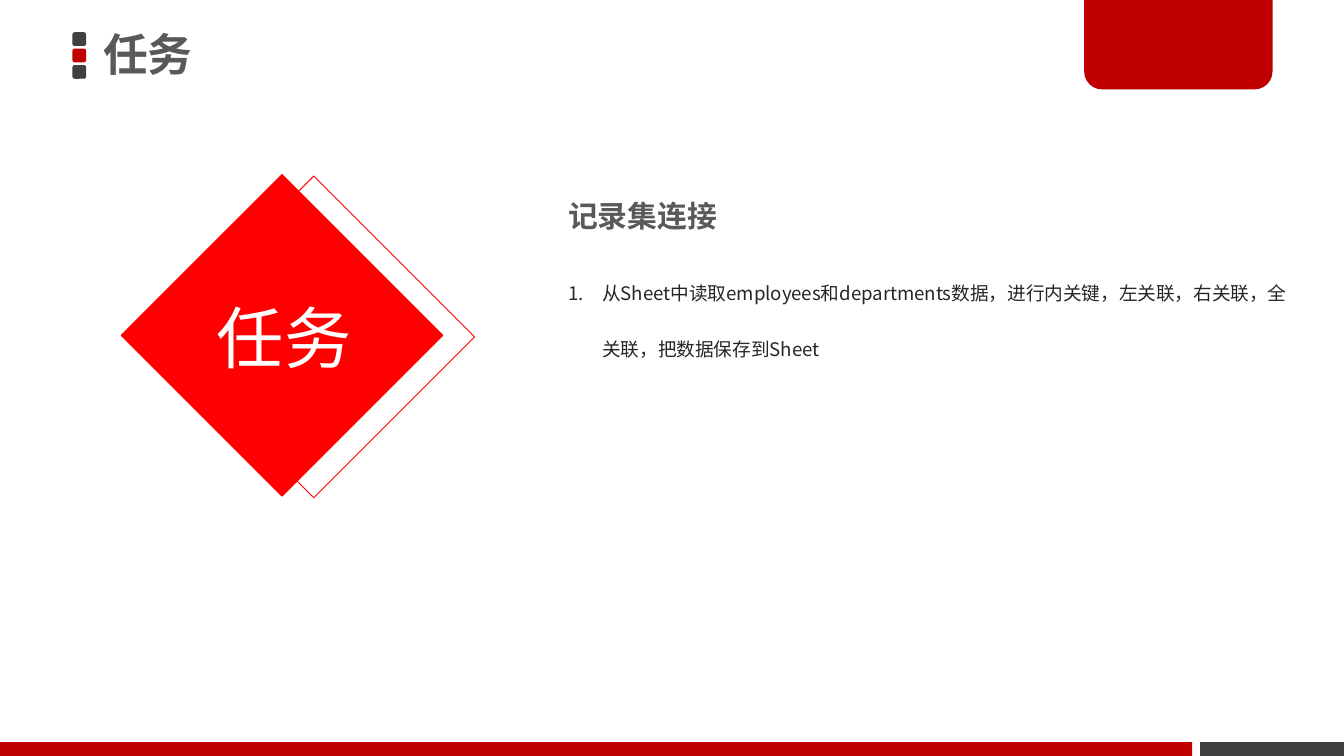
from lxml.etree import SubElement
from pptx import Presentation
from pptx.dml.color import RGBColor
from pptx.enum.shapes import MSO_SHAPE as SHAPE
from pptx.enum.text import MSO_ANCHOR as ANCHOR, MSO_AUTO_SIZE as AUTO, PP_ALIGN as ALIGN
from pptx.oxml.ns import qn
from pptx.util import Cm, Pt

FONT = "Noto Sans CJK SC"
RED, DARK, GREY, INK = "C00000", "404040", "595959", "262626"
BRIGHT, WHITE = "FF0000", "FFFFFF"

TITLE = "任务"
BADGE = "任务"
HEADING = "记录集连接"
TASKS = ["从Sheet中读取employees和departments数据，进行内关键，左关联，右关联，"
         "全关联，把数据保存到Sheet"]

WIDTH, HEIGHT = 25.4, 14.29
BAR_H, BAR_SPLIT, BAR_GAP = 0.26, 22.53, 0.15
MARK_X, MARK_Y, MARK, MARK_STEP = 1.37, 0.61, 0.26, 0.31
SIDE = 4.3
DIAMONDS = [(3.78, 4.22, None), (3.18, 4.19, BRIGHT)]


def rgb(color):
    return RGBColor.from_string(color)


def add_box(s, kind, x, y, w, h, fill=None, line=None):
    sp = s.shapes.add_shape(kind, Cm(x), Cm(y), Cm(w), Cm(h))
    sp.shadow.inherit = False
    if fill:
        sp.fill.solid()
        sp.fill.fore_color.rgb = rgb(fill)
    else:
        sp.fill.background()
    if line:
        sp.line.color.rgb = rgb(line)
        sp.line.width = Pt(0.5)
    else:
        sp.line.fill.background()
    return sp


def place(sp, x, y, w, h):
    sp.left, sp.top, sp.width, sp.height = Cm(x), Cm(y), Cm(w), Cm(h)


def write(sp, lines, size, color, bold=False, align=ALIGN.LEFT, anchor=ANCHOR.TOP, spacing=1.0):
    tf = sp.text_frame
    tf.text = "\n".join(lines)
    tf.word_wrap = True
    tf.auto_size = AUTO.NONE
    tf.vertical_anchor = anchor
    for p in tf.paragraphs:
        p.alignment = align
        p.line_spacing = spacing
        p.space_before = Pt(0)
        for r in p.runs:
            r.font.size, r.font.bold, r.font.name = Pt(size), bold, FONT
            r.font.color.rgb = rgb(color)
            SubElement(r.font._element, qn("a:ea"), typeface=FONT)


def number(p, indent):
    """Give the paragraph an automatic number with a hanging indent."""
    ppr = p._p.get_or_add_pPr()
    ppr.set("marL", str(Cm(indent)))
    ppr.set("indent", str(-Cm(indent)))
    SubElement(ppr, qn("a:buFont"), typeface=FONT)
    SubElement(ppr, qn("a:buAutoNum"), type="arabicPeriod")


prs = Presentation()
prs.slide_width, prs.slide_height = Cm(WIDTH), Cm(HEIGHT)
s = prs.slides.add_slide(prs.slide_layouts[1])

# Frame
for i, color in enumerate([DARK, RED, DARK]):
    add_box(s, SHAPE.ROUNDED_RECTANGLE, MARK_X, MARK_Y + i * MARK_STEP, MARK, MARK, color)
bar_y, dark_x = HEIGHT - BAR_H, BAR_SPLIT + BAR_GAP
add_box(s, SHAPE.RECTANGLE, 0, bar_y, BAR_SPLIT, BAR_H, RED)
add_box(s, SHAPE.RECTANGLE, dark_x, bar_y, WIDTH - dark_x, BAR_H, DARK)
tab = add_box(s, SHAPE.ROUND_2_SAME_RECTANGLE, 20.49, 0, 3.56, 1.69, RED)
tab.adjustments[0], tab.adjustments[1] = 0, 0.2

# Badge
for x, y, fill in DIAMONDS:
    add_box(s, SHAPE.RECTANGLE, x, y, SIDE, SIDE, fill, BRIGHT).rotation = 45
badge = s.shapes.add_textbox(Cm(0.05), Cm(5.33), Cm(10.64), Cm(2.26))
write(badge, [BADGE], 36, WHITE, align=ALIGN.CENTER, anchor=ANCHOR.MIDDLE, spacing=0.9)

# Text
title, body = s.placeholders
place(title, 1.75, -0.05, 10.95, 2.26)
title.text_frame.margin_left = Cm(0.2)
write(title, [TITLE], 24, GREY, bold=True, anchor=ANCHOR.MIDDLE, spacing=0.9)

heading = s.shapes.add_textbox(Cm(10.49), Cm(3.61), Cm(9.8), Cm(0.94))
write(heading, [HEADING], 16, GREY, bold=True)

place(body, 10.49, 4.57, 14.2, 2.39)
write(body, TASKS, 10, INK, spacing=2.5)
for p in body.text_frame.paragraphs:
    number(p, 0.64)

prs.save("out.pptx")
